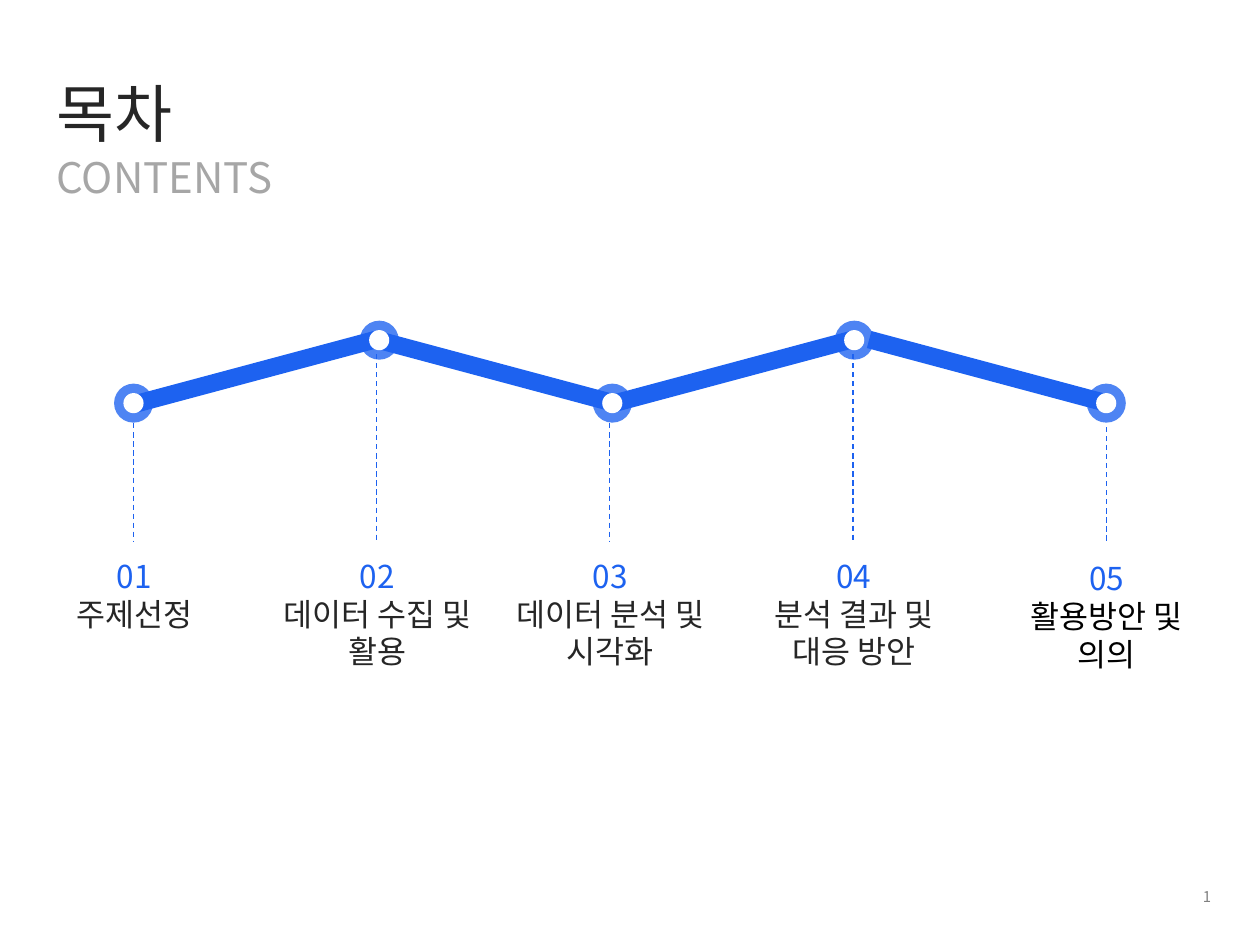
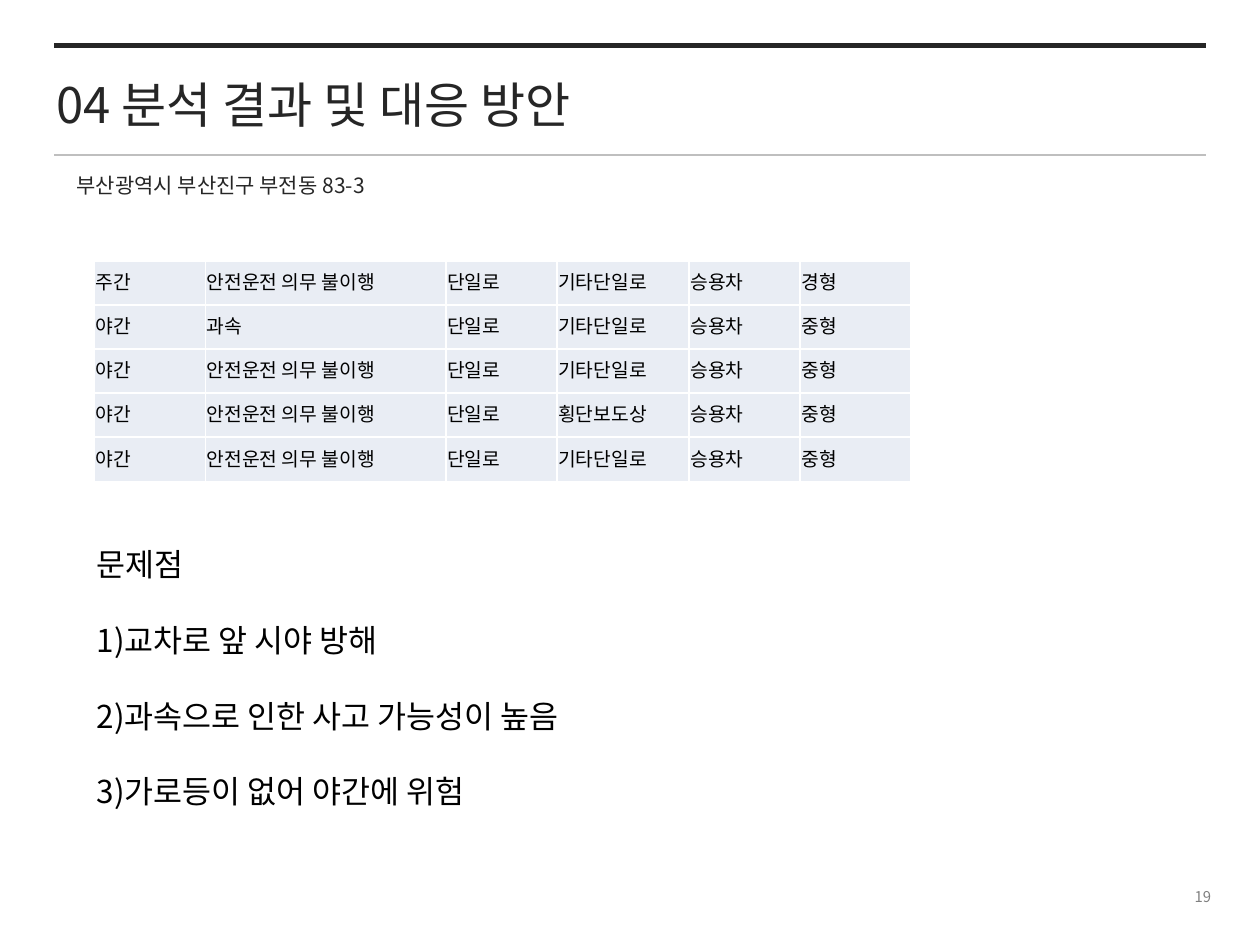
from lxml.etree import SubElement
from pptx import Presentation
from pptx.dml.color import RGBColor
from pptx.enum.dml import MSO_LINE
from pptx.enum.shapes import MSO_CONNECTOR, MSO_SHAPE
from pptx.enum.text import MSO_ANCHOR, MSO_AUTO_SIZE, PP_ALIGN
from pptx.oxml.ns import qn
from pptx.util import Inches, Pt

FONT = "Noto Sans CJK KR"
BLUE, INK, BLACK, WHITE = "1D62F0", "262626", "000000", "FFFFFF"
SUBTITLE_GRAY, NUMBER_GRAY, RULE_GRAY, CELL_FILL = "A6A6A6", "808080", "BFBFBF", "E9EDF4"


def write(target, lines, size, align=PP_ALIGN.LEFT, spacing=1.2, gap=0):
    """Fill a shape or cell with (text, colour) paragraphs; spacing is a multiple of size."""
    frame = target.text_frame
    frame.word_wrap = True
    for index, (text, colour) in enumerate(lines):
        para = frame.paragraphs[0] if index == 0 else frame.add_paragraph()
        para.text = text
        para.alignment = align
        para.line_spacing = Pt(size * spacing)
        para.space_before = Pt(gap if index else 0)
        para.font.size = Pt(size)
        para.font.bold = False
        para.font.color.rgb = RGBColor.from_string(colour)
        para.font.name = FONT
        SubElement(para._p.pPr.defRPr, qn("a:ea"), typeface=FONT)


def add_line(page, start, end, colour, width):
    line = page.shapes.add_connector(
        MSO_CONNECTOR.STRAIGHT, *(Inches(value) for value in start + end))
    line.line.color.rgb = RGBColor.from_string(colour)
    line.line.width = Pt(width)
    SubElement(line._element.spPr, qn("a:effectLst"))
    return line


deck = Presentation()
deck.slide_width, deck.slide_height = Inches(10), Inches(7.5)

# Shared title and page number
pages = []
for title_text, title_size, title_height, number in [
    ("목차", 36, 0.71, "1"),
    ("04 분석 결과 및 대응 방안", 28, 0.57, "19"),
]:
    page = deck.slides.add_slide(deck.slide_layouts[5])
    title = page.shapes.title
    title.left, title.top = Inches(0.35), Inches(0.54)
    title.width, title.height = Inches(7.56), Inches(title_height)
    title.text_frame.vertical_anchor = MSO_ANCHOR.TOP
    title.text_frame.auto_size = MSO_AUTO_SIZE.NONE
    write(title, [(title_text, INK)], title_size)
    box = page.shapes.add_textbox(Inches(7.6), Inches(6.98), Inches(2.11), Inches(0.27))
    box.text_frame.vertical_anchor = MSO_ANCHOR.MIDDLE
    write(box, [(number, NUMBER_GRAY)], 8.5, PP_ALIGN.RIGHT)
    pages.append(page)
contents, findings = pages

# Contents: a zigzag timeline with five stops
box = contents.shapes.add_textbox(Inches(0.35), Inches(1.15), Inches(7.56), Inches(0.5))
write(box, [("CONTENTS", SUBTITLE_GRAY)], 24)

HIGH, LOW = 2.7, 3.2
# heading, heading colour, node x, node y, stem x, stem top, centre of incoming bar, label drop
stops = [
    ("주제선정", INK, 1.06, LOW, 1.06, 3.36, None, 0),
    ("데이터 수집 및 활용", INK, 3.01, HIGH, 2.99, 2.81, 2.03, 0),
    ("데이터 분석 및 시각화", INK, 4.86, LOW, 4.84, 3.36, 3.94, 0),
    ("분석 결과 및 대응 방안", INK, 6.78, HIGH, 6.77, 2.81, 5.81, 0),
    ("활용방안 및 의의", BLACK, 8.78, LOW, 8.78, 3.39, 7.85, 0.02),
]

for index, (heading, colour, _, _, stem_x, stem_top, _, drop) in enumerate(stops, 1):
    stem = add_line(contents, (stem_x, stem_top), (stem_x, 4.3 + drop), BLUE, 0.75)
    stem.line.dash_style = MSO_LINE.DASH
    box = contents.shapes.add_textbox(
        Inches(stem_x - 0.86), Inches(4.37 + drop), Inches(1.73), Inches(1.01))
    write(box, [(f"{index:02}", BLUE), (heading, colour)], 18, PP_ALIGN.CENTER)

# Earlier nodes cover later bars, except that the last bar lies on top
for _, _, node_x, node_y, _, _, bar_x, _ in stops[3::-1] + stops[4:]:
    parts = [
        (MSO_SHAPE.OVAL, node_x, node_y, 0.31, 0.31, BLUE),
        (MSO_SHAPE.OVAL, node_x, node_y, 0.16, 0.16, WHITE),
    ]
    if bar_x:
        parts.insert(0, (MSO_SHAPE.RECTANGLE, bar_x, 2.95, 1.97, 0.14, BLUE))
    for kind, center_x, center_y, width, height, colour in parts:
        shape = contents.shapes.add_shape(
            kind, Inches(center_x - width / 2), Inches(center_y - height / 2),
            Inches(width), Inches(height))
        shape.shadow.inherit = False
        shape.fill.solid()
        shape.fill.fore_color.rgb = RGBColor.from_string(colour)
        shape.line.fill.background()
        if kind == MSO_SHAPE.RECTANGLE:
            shape.rotation = 345 if node_y == HIGH else 15
        elif colour == BLUE:
            fill_colour = shape._element.spPr.find(".//" + qn("a:srgbClr"))
            SubElement(fill_colour, qn("a:alpha"), val="78000")

# Findings: rules, place, accident table and problems
add_line(findings, (0.43, 0.36), (9.57, 0.36), INK, 3)
add_line(findings, (0.43, 1.23), (9.57, 1.23), RULE_GRAY, 0.75)
box = findings.shapes.add_textbox(Inches(0.51), Inches(1.3), Inches(7.56), Inches(0.32))
write(box, [("부산광역시 부산진구 부전동 83-3", INK)], 12, spacing=16 / 12)

accidents = [
    ("주간", "안전운전 의무 불이행", "단일로", "기타단일로", "승용차", "경형"),
    ("야간", "과속", "단일로", "기타단일로", "승용차", "중형"),
    ("야간", "안전운전 의무 불이행", "단일로", "기타단일로", "승용차", "중형"),
    ("야간", "안전운전 의무 불이행", "단일로", "횡단보도상", "승용차", "중형"),
    ("야간", "안전운전 의무 불이행", "단일로", "기타단일로", "승용차", "중형"),
]
column_widths = [0.88, 1.91, 0.88, 1.05, 0.88, 0.88]
table = findings.shapes.add_table(
    len(accidents), len(column_widths),
    Inches(0.75), Inches(2.07), Inches(6.47), Inches(1.75)).table
table.first_row = table.horz_banding = False
for column, width in zip(table.columns, column_widths):
    column.width = Inches(width)
for row, values in zip(table.rows, accidents):
    row.height = Inches(0.35)
    for cell, value in zip(row.cells, values):
        cell.margin_left = cell.margin_right = cell.margin_top = Inches(0.01)
        cell.margin_bottom = 0
        cell.vertical_anchor = MSO_ANCHOR.MIDDLE
        write(cell, [(value, BLACK)], 11)
        properties = cell._tc.get_or_add_tcPr()
        for side in ("a:lnL", "a:lnR", "a:lnT", "a:lnB"):
            border = SubElement(properties, qn(side), w=str(Pt(1)))
            SubElement(SubElement(border, qn("a:solidFill")), qn("a:srgbClr"), val=WHITE)
        cell.fill.solid()
        cell.fill.fore_color.rgb = RGBColor.from_string(CELL_FILL)

problems = ["문제점", "1)교차로 앞 시야 방해", "2)과속으로 인한 사고 가능성이 높음", "3)가로등이 없어 야간에 위험"]
box = findings.shapes.add_textbox(Inches(0.67), Inches(4.28), Inches(6.77), Inches(2.22))
write(box, [(problem, BLACK) for problem in problems], 18, gap=21.6)

deck.save("out.pptx")
